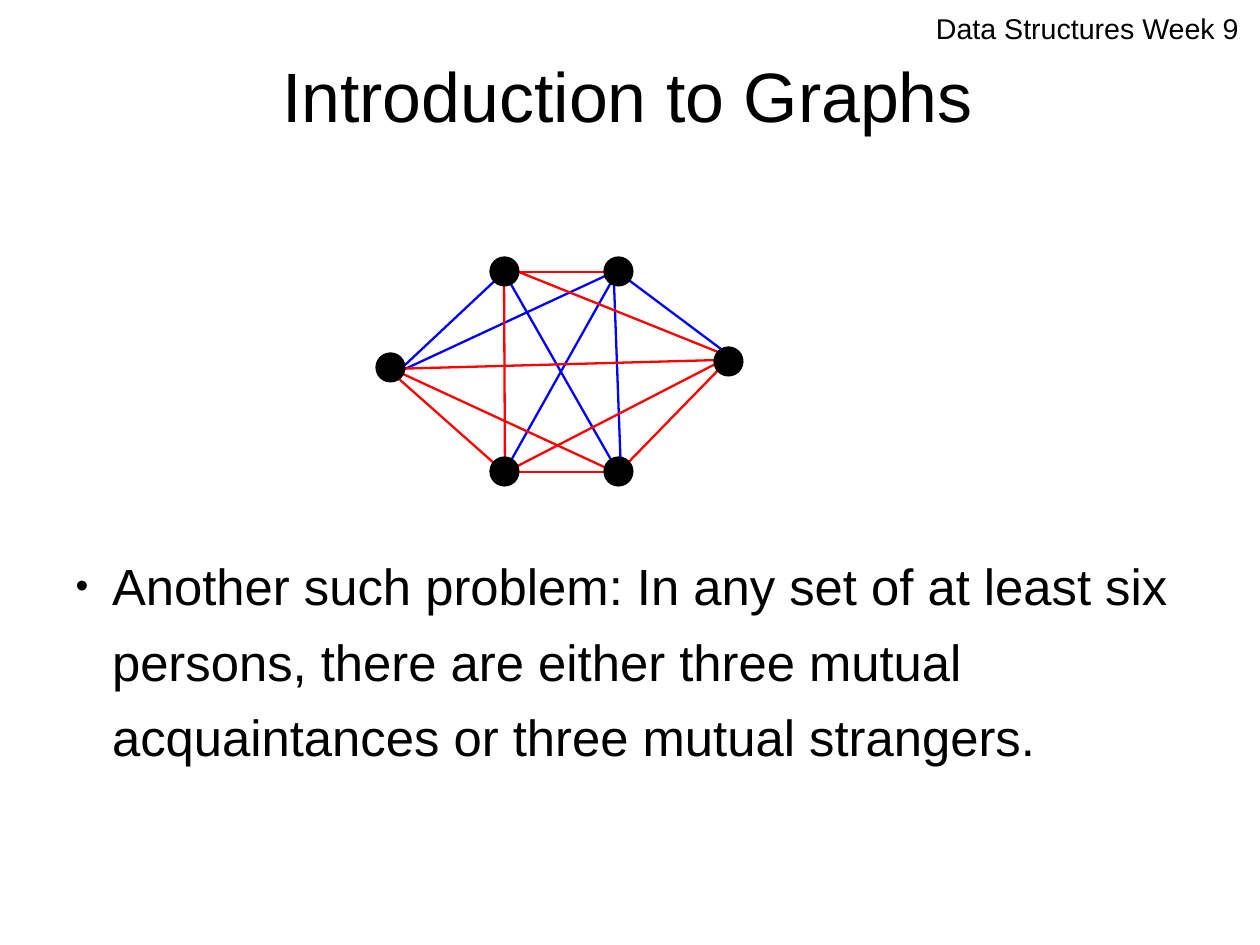
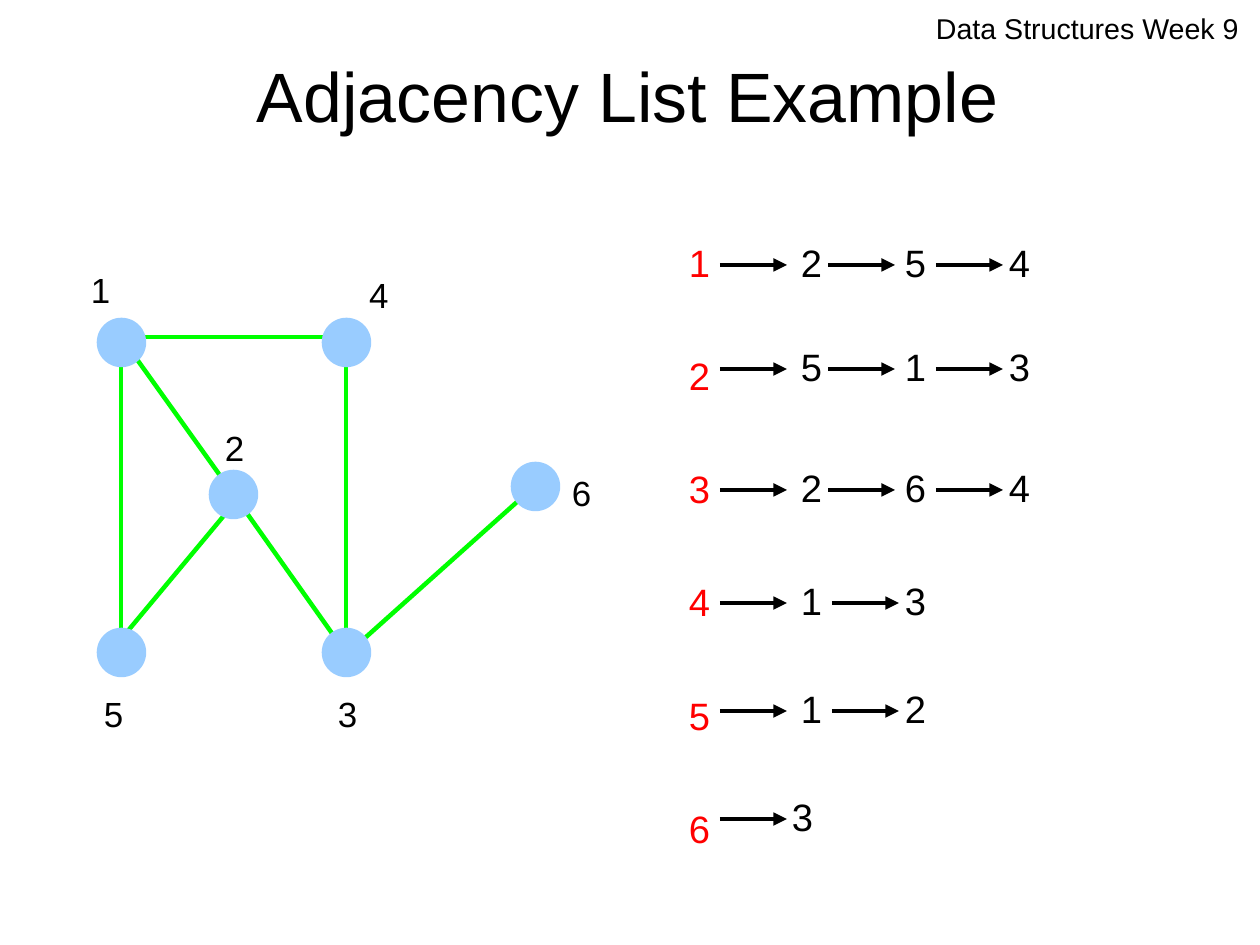
from dataclasses import dataclass

from lxml.etree import SubElement as Sub
from pptx import Presentation
from pptx.dml.color import RGBColor as Color
from pptx.enum.shapes import MSO_CONNECTOR as Wire, MSO_SHAPE as Shape
from pptx.enum.text import MSO_ANCHOR as Anchor, MSO_AUTO_SIZE as Fit, PP_ALIGN as Align
from pptx.oxml.ns import qn
from pptx.util import Pt

SCALE = 8000


def px(size):
    return size * SCALE


@dataclass(frozen=True)
class Theme:
    face: str = "Arial"
    black: str = "000000"
    red: str = "FF0000"
    blue: str = "0000FF"
    green: str = "00FF00"
    sky: str = "99CCFF"
    head: int = 18
    title: int = 44
    body: int = 32
    label: int = 22
    item: int = 24
    thin: float = 0.75
    edge: float = 1.45
    bold: float = 2.83
    space: float = 1.24


class Deck:
    def __init__(self, theme):
        self.theme = theme
        self.show = Presentation()
        self.show.slide_width, self.show.slide_height = px(1260), px(945)
        self.slide = None

    def start(self, title, layout):
        self.slide = self.show.slides.add_slide(self.show.slide_layouts[layout])
        self.text((936, 11, 310, 38), ["Data Structures Week 9"], self.theme.head,
                  pad=(0, 0), space=1.0)
        head = self.slide.shapes.title
        self.place(head, (63, 33, 1130, 104))
        line = self.fill(head, [title], self.theme.title)[0]
        line.alignment = Align.CENTER
        head.text_frame.vertical_anchor = Anchor.MIDDLE

    def place(self, shape, area):
        shape.left, shape.top, shape.width, shape.height = map(px, area)

    def fill(self, shape, words, size, color=None, pad=(0, 0), space=None, gap=0):
        frame = shape.text_frame
        frame.word_wrap = True
        frame.auto_size = Fit.NONE
        frame.vertical_anchor = Anchor.TOP
        frame.margin_left = frame.margin_right = px(pad[0])
        frame.margin_top = frame.margin_bottom = px(pad[1])
        frame.text = "\n".join(words)
        for i, line in enumerate(frame.paragraphs):
            line.line_spacing = space or self.theme.space
            line.space_before = Pt(gap if i else 0)
            line.font.name = self.theme.face
            line.font.size = Pt(size)
            line.font.color.rgb = Color.from_string(color or self.theme.black)
        return frame.paragraphs

    def text(self, area, words, size, color=None, pad=(14, 8), space=None, gap=0):
        box = self.slide.shapes.add_textbox(*map(px, area))
        self.fill(box, words, size, color, pad, space, gap)

    def list(self, area, words):
        body = self.slide.placeholders[1]
        self.place(body, area)
        for line in self.fill(body, words, self.theme.body):
            line.space_after = Pt(5.8)
            prop = line._p.get_or_add_pPr()
            prop.set("marL", str(px(49)))
            prop.set("indent", str(px(-37)))
            marks = [Sub(prop, qn("a:" + tag))
                     for tag in ("buClr", "buSzPct", "buFont", "buChar")]
            Sub(marks[0], qn("a:srgbClr")).set("val", self.theme.black)
            marks[1].set("val", "45000")
            marks[2].set("typeface", self.theme.face)
            marks[3].set("char", "●")
            prop.extend(prop.findall(qn("a:defRPr")))

    def line(self, ends, color, width, arrow=False):
        wire = self.slide.shapes.add_connector(Wire.STRAIGHT, *map(px, ends))
        wire.line.color.rgb = Color.from_string(color)
        wire.line.width = Pt(width)
        if arrow:
            Sub(wire.line._get_or_add_ln(), qn("a:tailEnd")).set("type", "triangle")
        Sub(wire._element.spPr, qn("a:effectLst"))

    def dot(self, spot, size, color, width):
        disc = self.slide.shapes.add_shape(Shape.OVAL, *map(px, spot + (size, size)))
        disc.shadow.inherit = False
        disc.fill.solid()
        disc.fill.fore_color.rgb = Color.from_string(color)
        disc.line.color.rgb = Color.from_string(color)
        disc.line.width = Pt(width)

    def chain(self, left, top, step, items):
        for i, item in enumerate(items):
            x, y = 720 + step * i, top + 45
            self.line((x, y, x + 67, y), self.theme.black, self.theme.bold, True)
            self.text((left + 104 * i, top, 45, 72), [item], self.theme.item)


def draw_six(deck):
    theme = deck.theme
    deck.start("Introduction to Graphs", 1)
    deck.list((63, 540, 1130, 364), [
        "Another such problem: In any set of at least six persons, there are "
        "either three mutual acquaintances or three mutual strangers."])
    edges = {
        theme.blue: (
            (405, 365, 501, 275), (621, 473, 614, 283), (504, 473, 618, 270),
            (618, 272, 733, 358), (405, 369, 618, 270), (504, 272, 618, 472)),
        theme.red: (
            (504, 272, 505, 472), (390, 368, 615, 472), (504, 266, 733, 358),
            (504, 473, 733, 355), (390, 369, 719, 360), (390, 371, 504, 472),
            (504, 472, 618, 472), (504, 272, 618, 272), (618, 473, 733, 355)),
    }
    for color, group in edges.items():
        for ends in group:
            deck.line(ends, color, theme.edge)
    for spot in ((490, 257), (604, 257), (714, 347),
                 (604, 457), (490, 457), (376, 353)):
        deck.dot(spot, 29, theme.black, theme.thin)


def draw_lists(deck):
    theme = deck.theme
    deck.start("Adjacency List Example", 5)
    for ends in ((121, 360, 121, 630), (144, 337, 346, 337), (112, 650, 247, 488),
                 (234, 495, 346, 653), (346, 655, 527, 493), (346, 337, 346, 630),
                 (121, 337, 234, 495)):
        deck.line(ends, theme.green, theme.bold)
    nodes = {"1": ((99, 320), (77, 251)), "2": ((211, 472), (211, 409)),
             "3": ((324, 630), (324, 675)), "4": ((324, 320), (355, 256)),
             "5": ((99, 630), (90, 675)), "6": ((513, 464), (558, 454))}
    for name, (spot, label) in nodes.items():
        deck.dot(spot, 45, theme.sky, theme.bold)
        deck.text(label + (67, 67), [name], theme.label)
    deck.text((675, 220, 67, 638), list(nodes), theme.item, theme.red, gap=35.7)
    rows = ((787, 220, 108, "254"), (787, 324, 108, "513"), (787, 445, 108, "264"),
            (787, 558, 112, "13"), (787, 666, 112, "12"), (778, 774, 108, "3"))
    for row in rows:
        deck.chain(*row)


def main():
    deck = Deck(Theme())
    draw_six(deck)
    draw_lists(deck)
    deck.show.save("out.pptx")


if __name__ == "__main__":
    main()
